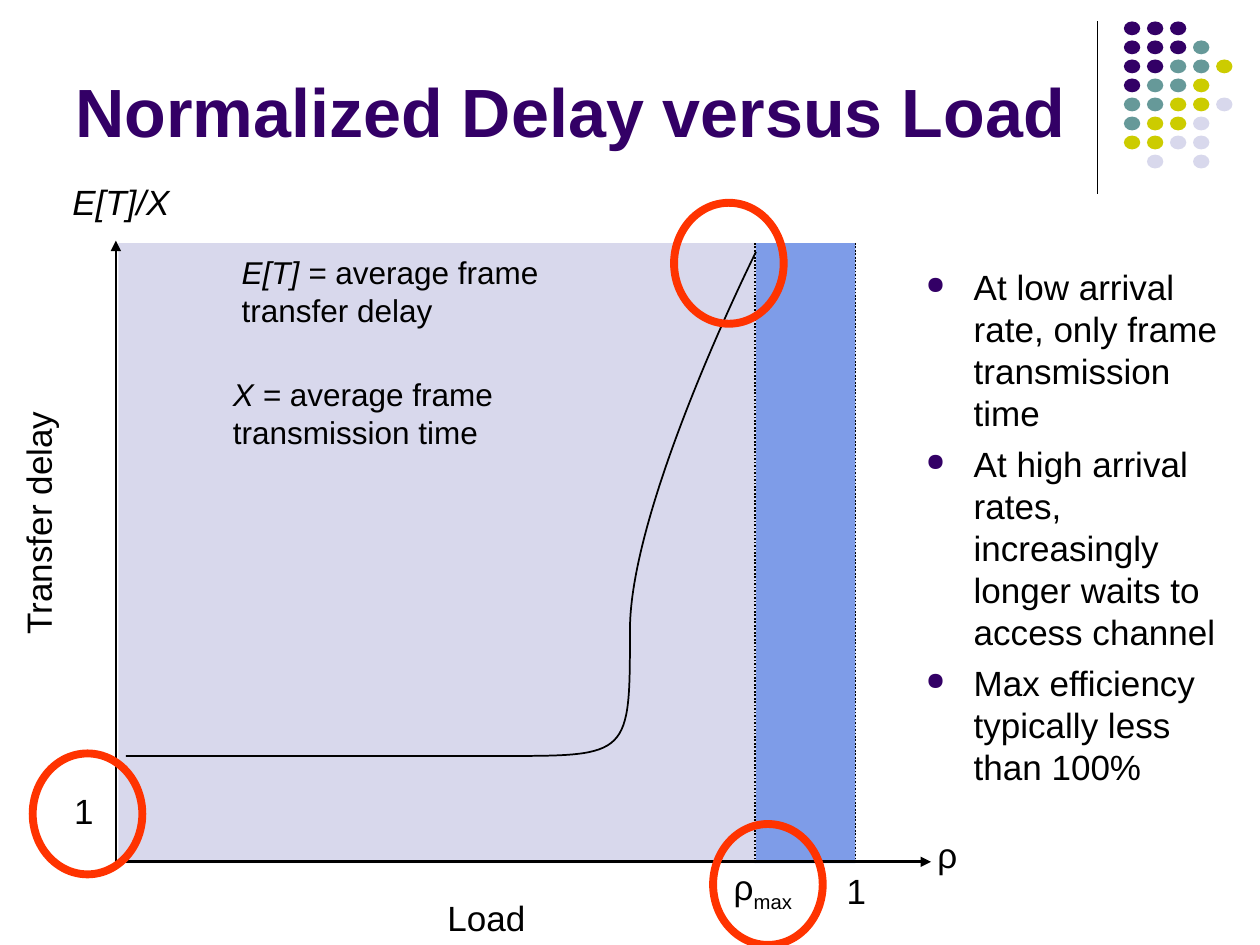
from typing import NamedTuple

from lxml.etree import SubElement
from pptx import Presentation
from pptx.dml.color import RGBColor
from pptx.enum.dml import MSO_LINE
from pptx.enum.shapes import MSO_CONNECTOR, MSO_SHAPE
from pptx.enum.text import MSO_ANCHOR, PP_ALIGN
from pptx.oxml.ns import qn
from pptx.util import Inches, Pt

BLACK, PURPLE, TEAL, OLIVE = "000000", "330066", "669999", "CCCC00"
LAVENDER, BLUE, RED = "D8D8EC", "7E9CE8", "FF3300"


class Box(NamedTuple):
    left: float
    top: float
    width: float
    height: float


class Run(NamedTuple):
    text: str
    italic: bool = False
    subscript: bool = False


class Label(NamedTuple):
    box: Box
    runs: list[Run]
    wrap: bool = False
    rotation: int = 0


class Rule(NamedTuple):
    start: tuple[float, float]
    end: tuple[float, float]
    weight: float
    arrow: bool = False
    dotted: bool = False


def color(hex_code: str) -> RGBColor:
    return RGBColor.from_string(hex_code)


def draw_shape(slide, preset, box: Box, fill: str = "", outline: str = "") -> None:
    shape = slide.shapes.add_shape(preset, *map(Inches, box))
    shape.shadow.inherit = False
    if fill:
        shape.fill.solid()
        shape.fill.fore_color.rgb = color(fill)
    else:
        shape.fill.background()
    if outline:
        shape.line.color.rgb = color(outline)
        shape.line.width = Pt(4.5)
    else:
        shape.line.fill.background()


def draw_rule(slide, rule: Rule) -> None:
    connector = slide.shapes.add_connector(
        MSO_CONNECTOR.STRAIGHT, *map(Inches, rule.start + rule.end))
    connector.line.color.rgb = color(BLACK)
    connector.line.width = Pt(rule.weight)
    if rule.dotted:
        connector.line.dash_style = MSO_LINE.ROUND_DOT
    if rule.arrow:
        SubElement(connector.line._get_or_add_ln(), qn("a:tailEnd"), type="triangle")
    SubElement(connector._element.spPr, qn("a:effectLst"))


def draw_text(slide, box: Box, paragraphs: list[list[Run]], size: float,
              hex_code: str = BLACK, bold: bool = False, wrap: bool = True,
              anchor=MSO_ANCHOR.TOP, align=PP_ALIGN.LEFT):
    text_box = slide.shapes.add_textbox(*map(Inches, box))
    frame = text_box.text_frame
    frame.word_wrap = wrap
    frame.vertical_anchor = anchor
    for index, runs in enumerate(paragraphs):
        paragraph = frame.add_paragraph() if index else frame.paragraphs[0]
        paragraph.alignment = align
        for item in runs:
            run = paragraph.add_run()
            run.text = item.text
            font = run.font
            font.name, font.size = "Arial", Pt(size)
            font.bold, font.italic = bold, item.italic
            font.color.rgb = color(hex_code)
            if item.subscript:
                run._r.get_or_add_rPr().set("baseline", "-25000")
    return text_box


def add_bullet(paragraph) -> None:
    paragraph.space_before = Pt(5)
    properties = paragraph._p.get_or_add_pPr()
    properties.set("marL", str(Inches(0.38)))
    properties.set("indent", str(Inches(-0.38)))
    SubElement(SubElement(properties, qn("a:buClr")), qn("a:srgbClr"), val=PURPLE)
    SubElement(properties, qn("a:buSzPct"), val="70000")
    SubElement(properties, qn("a:buChar"), char="●")


def draw_curve(slide, points: list[tuple[float, float]]) -> None:
    """Cubic curve: a start point, then three control points per segment."""
    scale = 914400
    builder = slide.shapes.build_freeform(*points[0], scale=scale)
    builder.add_line_segments(points[1:], close=False)
    curve = builder.convert_to_shape()
    lines = list(curve._element.iter(qn("a:lnTo")))
    for first in range(0, len(lines), 3):
        segment = SubElement(lines[first].getparent(), qn("a:cubicBezTo"))
        for line in lines[first:first + 3]:
            segment.append(line[0])
            line.getparent().remove(line)
    curve.shadow.inherit = False
    curve.fill.background()
    curve.line.color.rgb = color(BLACK)
    curve.line.width = Pt(1)


# Corner ornament: one letter per dot, a blank for a gap
DOT_COLORS = {"P": PURPLE, "T": TEAL, "O": OLIVE, "L": LAVENDER}
DOT_ROWS = ["PPP", "PPPT", "PPTTO", "PTTO", "TTOOL", "TOOL", "OOLL", " L L"]

# Delay chart
REGIONS = [(Box(5.99, 1.93, 0.8, 4.92), BLUE), (Box(0.94, 1.93, 5.06, 4.92), LAVENDER)]
CHART_RULES = [
    Rule((0.91, 6.84), (7.39, 6.84), 1.5, arrow=True),
    Rule((0.92, 6.87), (0.92, 1.91), 1.5, arrow=True),
    *[Rule((x, 6.82), (x, 1.92), 1, dotted=True) for x in (5.99, 6.79)],
]
DELAY_CURVE = [
    (0.94, 6.39), (1.42, 6.35), (3.15, 6.41), (3.83, 6.16), (4.52, 5.92),
    (4.75, 5.63), (5.06, 4.93), (5.38, 4.23), (5.61, 2.44), (5.71, 1.94),
]
LABELS = [
    Label(Box(3.45, 7.06, 0.82, 0.44), [Run("Load")]),
    Label(Box(-0.69, 3.93, 1.98, 0.44), [Run("Transfer delay")], rotation=270),
    Label(Box(0.4, 1.38, 1.12, 0.44), [Run("E[T]/X", italic=True)], wrap=True),
    Label(Box(7.34, 6.56, 0.35, 0.44), [Run("ρ")]),
    Label(Box(5.67, 6.82, 0.77, 0.48), [Run("ρ"), Run("max", subscript=True)], wrap=True),
    Label(Box(6.62, 6.85, 0.35, 0.44), [Run("1")]),
    Label(Box(0.49, 6.21, 0.35, 0.44), [Run("1")]),
]
DEFINITIONS = [
    (Box(1.82, 1.96, 2.98, 0.7), "E[T] =", "transfer delay"),
    (Box(1.75, 2.93, 3.25, 0.7), "X =", "transmission time"),
]
HIGHLIGHTS = [(0.26, 5.98), (5.35, 1.61), (5.66, 6.54)]
REMARKS = [
    "At low arrival rate, only frame transmission time",
    "At high arrival rates, increasingly longer waits to access channel",
    "Max efficiency typically less than 100%",
]


def main() -> None:
    deck = Presentation()
    deck.slide_width, deck.slide_height = Inches(10), Inches(7.5)
    slide = deck.slides.add_slide(deck.slide_layouts[6])

    # Corner ornament
    draw_rule(slide, Rule((8.71, 0.17), (8.71, 1.54), 0.75))
    for row, dots in enumerate(DOT_ROWS):
        for column, dot in enumerate(dots):
            if dot in DOT_COLORS:
                box = Box(8.92 + 0.183 * column, 0.17 + 0.151 * row, 0.13, 0.11)
                draw_shape(slide, MSO_SHAPE.OVAL, box, fill=DOT_COLORS[dot])

    # Chart regions, axes, curve and labels
    for box, fill in REGIONS:
        draw_shape(slide, MSO_SHAPE.RECTANGLE, box, fill=fill)
    for rule in CHART_RULES:
        draw_rule(slide, rule)
    draw_curve(slide, DELAY_CURVE)
    for label in LABELS:
        text_box = draw_text(slide, label.box, [label.runs], 20, wrap=label.wrap,
                             anchor=MSO_ANCHOR.MIDDLE, align=PP_ALIGN.CENTER)
        text_box.rotation = label.rotation

    # Title and definitions
    draw_text(slide, Box(0.5, 0.13, 8.25, 1.12), [[Run("Normalized Delay versus Load")]],
              39, PURPLE, bold=True, anchor=MSO_ANCHOR.BOTTOM)
    for box, symbol, ending in DEFINITIONS:
        first_line = [Run(symbol, italic=True), Run(" average frame")]
        draw_text(slide, box, [first_line, [Run(ending)]], 18)

    # Remarks and highlight rings
    remarks = draw_text(slide, Box(7.25, 2.06, 2.57, 4.34),
                        [[Run(remark)] for remark in REMARKS], 20)
    for paragraph in remarks.text_frame.paragraphs:
        add_bullet(paragraph)
    for left, top in HIGHLIGHTS:
        draw_shape(slide, MSO_SHAPE.OVAL, Box(left, top, 0.87, 0.96), outline=RED)

    deck.save("out.pptx")


if __name__ == "__main__":
    main()
